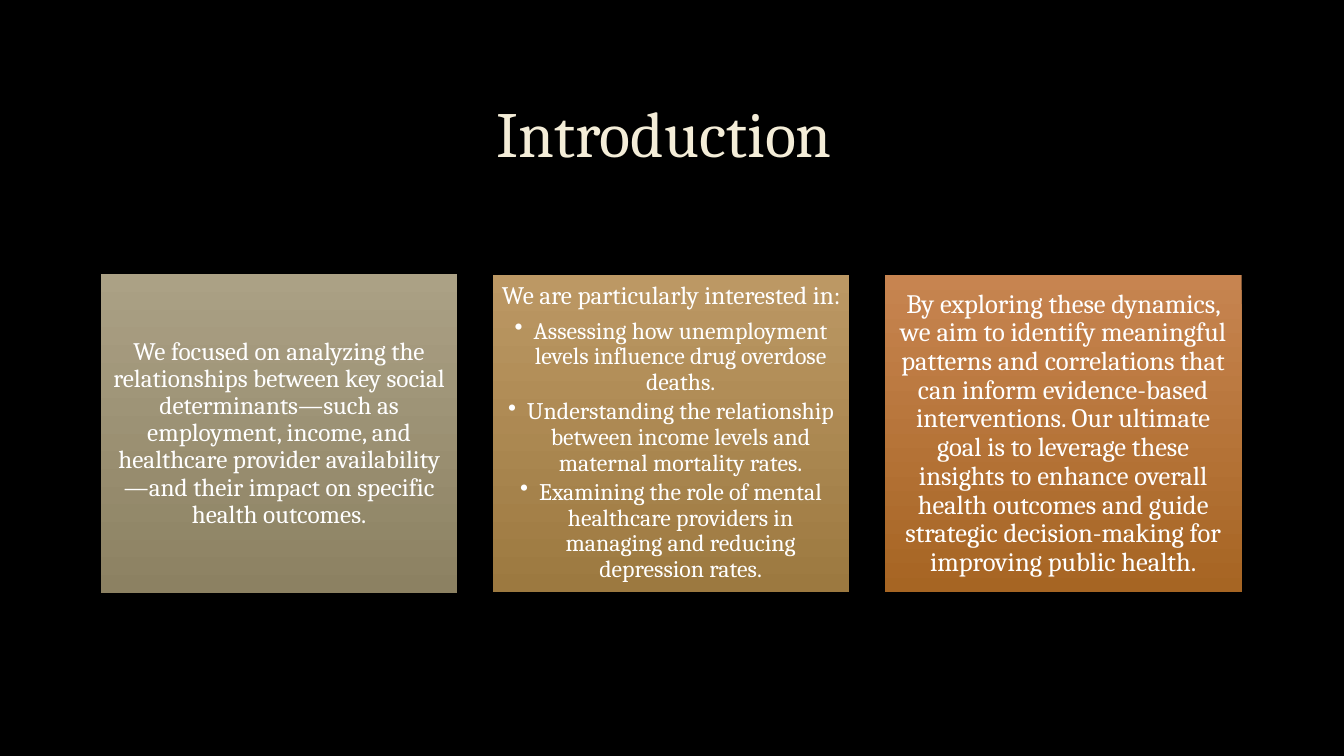
from dataclasses import dataclass
from lxml.etree import SubElement
from pptx import Presentation
from pptx.dml.color import RGBColor as RGB
from pptx.enum.shapes import MSO_SHAPE as SHAPE
from pptx.enum.text import MSO_ANCHOR as ANCHOR, PP_ALIGN as ALIGN
from pptx.oxml.ns import qn
from pptx.util import Cm, Pt


@dataclass
class Theme:
    font: str = "Cambria"
    back: str = "000000"
    title: str = "F4EDD8"
    text: str = "FFFFFF"
    title_size: int = 46
    bullet_size: int = 17


T = Theme()


def add_text(p, text, size, color):
    r = p.add_run()
    r.text = text
    for key, value in {"name": T.font, "size": Pt(size), "bold": False}.items():
        setattr(r.font, key, value)
    r.font.color.rgb = RGB.from_string(color)


# Slide and background
prs = Presentation()
prs.slide_width, prs.slide_height = Cm(33.87), Cm(19.05)
s = prs.slides.add_slide(prs.slide_layouts[5])
s.background.fill.solid()
s.background.fill.fore_color.rgb = RGB.from_string(T.back)

# Title
title = s.shapes.title
place = {"left": Cm(2.54), "top": Cm(1.7), "width": Cm(28.75), "height": Cm(3.5)}
for key, value in place.items():
    setattr(title, key, value)
tf = title.text_frame
tf.vertical_anchor = ANCHOR.MIDDLE
p = tf.paragraphs[0]
p.alignment, p.line_spacing = ALIGN.CENTER, 0.9
add_text(p, "Introduction ", T.title_size, T.title)

# Cards: top, height, gradient, anchor, inset, lead size, lead, bullets
cards = [
    (6.91, 8.03, ("ABA185", "8C8162"), ANCHOR.MIDDLE, 0.18, 18,
     "We focused on analyzing the relationships between key social determinants"
     "—such as employment, income, and healthcare provider availability—and "
     "their impact on specific health outcomes.", []),
    (6.94, 7.98, ("BC9864", "9C7940"), ANCHOR.TOP, 0.18, 18,
     "We are particularly interested in: ",
     ["Assessing how unemployment levels influence drug overdose deaths.",
      "Understanding the relationship between income levels and maternal "
      "mortality rates.",
      "Examining the role of mental healthcare providers in managing and "
      "reducing depression rates."]),
    (6.94, 7.98, ("C78450", "A66523"), ANCHOR.MIDDLE, 0.2, 19,
     "By exploring these dynamics, we aim to identify meaningful patterns and "
     "correlations that can inform evidence-based interventions. Our ultimate "
     "goal is to leverage these insights to enhance overall health outcomes and "
     "guide strategic decision-making for improving public health.", []),
]
card_left, card_width, card_step = 2.54, 8.99, 9.88

for i, (top, height, colors, anchor, inset, size, lead, bullets) in enumerate(cards):
    sp = s.shapes.add_shape(SHAPE.RECTANGLE, Cm(card_left + i * card_step),
                            Cm(top), Cm(card_width), Cm(height))
    sp.shadow.inherit = False
    sp.line.fill.background()
    sp.fill.gradient()
    sp.fill.gradient_angle = 270
    for stop, color, position in zip(sp.fill.gradient_stops, colors, (0, 1)):
        stop.color.rgb = RGB.from_string(color)
        stop.position = position

    tf = sp.text_frame
    tf.word_wrap, tf.vertical_anchor = True, anchor
    for side in ("left", "top", "right", "bottom"):
        setattr(tf, f"margin_{side}", Cm(inset))

    # Lead paragraph
    p = tf.paragraphs[0]
    lead_format = {"alignment": ALIGN.CENTER, "line_spacing": 0.9,
                   "space_after": Pt(6.3)}
    for key, value in lead_format.items():
        setattr(p, key, value)
    add_text(p, lead, size, T.text)

    # Bulleted paragraphs
    for bullet in bullets:
        p = tf.add_paragraph()
        bullet_format = {"alignment": ALIGN.CENTER, "line_spacing": 0.9,
                         "space_after": Pt(2.5), "level": 1}
        for key, value in bullet_format.items():
            setattr(p, key, value)
        pPr = p._p.get_or_add_pPr()
        pPr.set("marL", str(Cm(0.48)))
        pPr.set("indent", str(Cm(-0.48)))
        SubElement(pPr, qn("a:buChar"), char="•")
        add_text(p, bullet, T.bullet_size, T.text)

prs.save("out.pptx")
